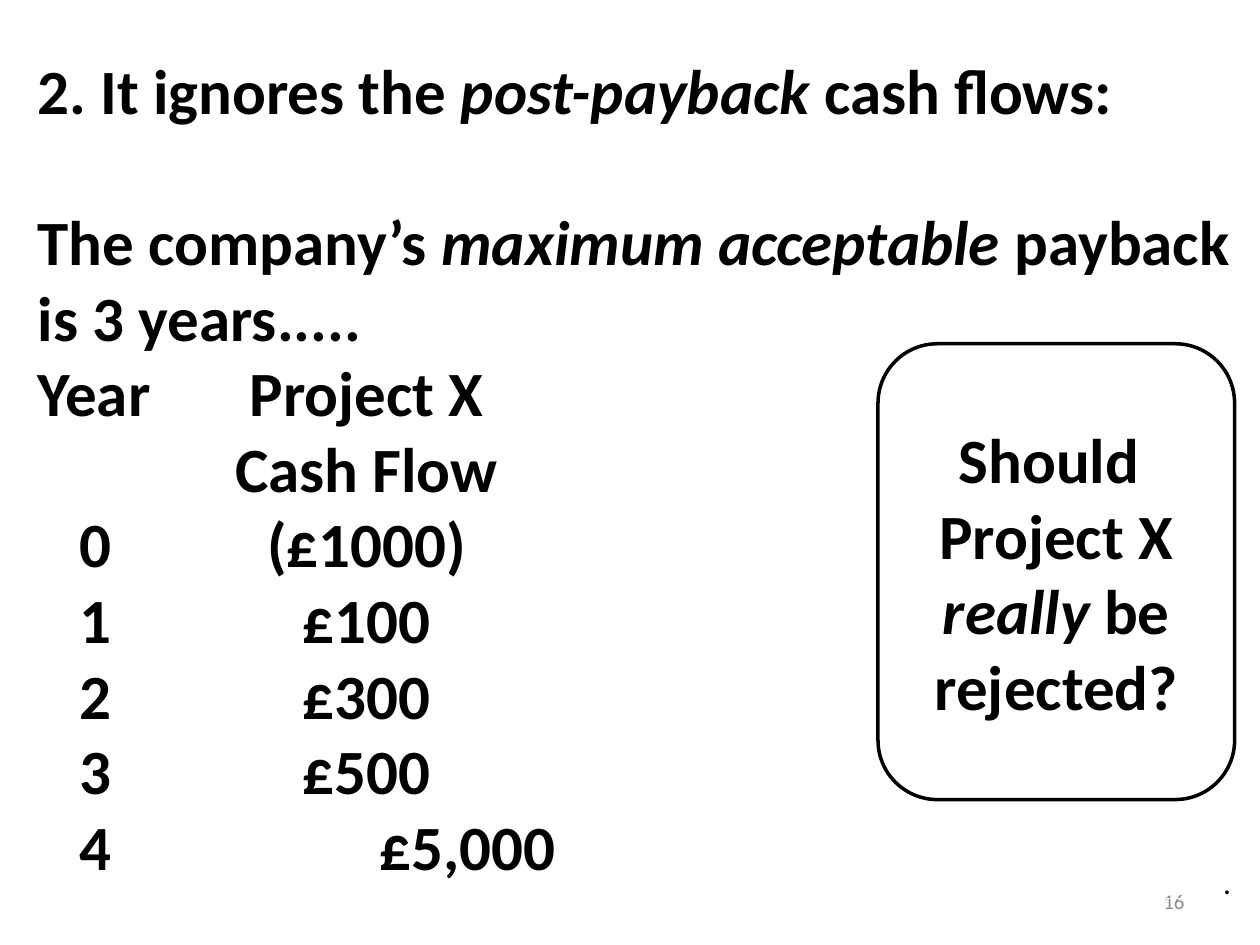
from lxml import etree
from pptx import Presentation
from pptx.dml.color import RGBColor
from pptx.enum import shapes, text
from pptx.oxml import ns
from pptx.util import Cm, Pt

BLACK = RGBColor(0, 0, 0)
WHITE = RGBColor(255, 255, 255)
GREY = RGBColor(0x8C, 0x8C, 0x8C)
LEFT, CENTER, RIGHT = text.PP_ALIGN.LEFT, text.PP_ALIGN.CENTER, text.PP_ALIGN.RIGHT


def write(box, lines, size=36, color=BLACK, bold=True, align=LEFT):
    frame = box.text_frame
    frame.word_wrap = True
    for index, line in enumerate(lines):
        para = frame.paragraphs[0] if index == 0 else frame.add_paragraph()
        para.alignment = align
        for words, italic in line:
            span = para.add_run()
            span.text = words
            span.font.name = "Calibri"
            span.font.size = Pt(size)
            span.font.bold = bold
            span.font.italic = italic
            span.font.color.rgb = color
    return frame


def set_tabs(para, stops):
    tabs = etree.SubElement(para._p.get_or_add_pPr(), ns.qn("a:tabLst"))
    for stop in stops:
        etree.SubElement(tabs, ns.qn("a:tab"), pos=str(Cm(stop)), algn="ctr")


deck = Presentation()
deck.slide_width, deck.slide_height = Cm(25.4), Cm(19.05)
page = deck.slides.add_slide(deck.slide_layouts[6])

number = page.shapes.add_textbox(Cm(18.2), Cm(17.66), Cm(5.93), Cm(1.01))
frame = write(number, [[("16", False)]], 12, GREY, False, RIGHT)
frame.vertical_anchor = text.MSO_ANCHOR.MIDDLE

YEAR, FLOW, LAST_FLOW = 1.17, 6.63, 8.67
cash_flows = [
    ("Year\tProject X", [YEAR, FLOW]),
    ("\tCash Flow", [FLOW]),
    ("\t0\t(£1000)", [YEAR, FLOW]),
    ("\t1\t£100", [YEAR, FLOW]),
    ("\t2\t£300", [YEAR, FLOW]),
    ("\t3\t£500", [YEAR, FLOW]),
    ("\t4\t£5,000", [YEAR, LAST_FLOW]),
]
intro = [
    [("2. It ignores the ", False), ("post-payback", True), (" cash flows:", False)],
    [("The company’s ", False), ("maximum acceptable ", True), ("payback", False)],
    [("is 3 years.....", False)],
]
body = page.shapes.add_shape(
    shapes.MSO_SHAPE.RECTANGLE, Cm(0.51), Cm(0.91), Cm(25.07), Cm(17.2))
body.shadow.inherit = False
body.fill.background()
body.line.color.rgb = WHITE
body.line.width = Pt(0.75)
frame = write(body, intro + [[(row, False)] for row, stops in cash_flows])
frame.vertical_anchor = text.MSO_ANCHOR.TOP
frame.paragraphs[1].space_before = Pt(43.2)
for para, (row, stops) in zip(frame.paragraphs[len(intro):], cash_flows):
    set_tabs(para, stops)

question = page.shapes.add_shape(
    shapes.MSO_SHAPE.ROUNDED_RECTANGLE, Cm(17.7), Cm(6.93), Cm(7.19), Cm(9.19))
question.shadow.inherit = False
question.fill.background()
question.line.color.rgb = BLACK
question.line.width = Pt(2)
frame = write(question, [
    [("Should ", False)],
    [("Project X", False)],
    [("really", True), (" be", False)],
    [("rejected?", False)],
], align=CENTER)
frame.vertical_anchor = text.MSO_ANCHOR.MIDDLE

dot = page.shapes.add_textbox(Cm(24.41), Cm(17.27), Cm(0.69), Cm(1.02))
write(dot, [[(".", False)]], 18, BLACK, False)

deck.save("out.pptx")
